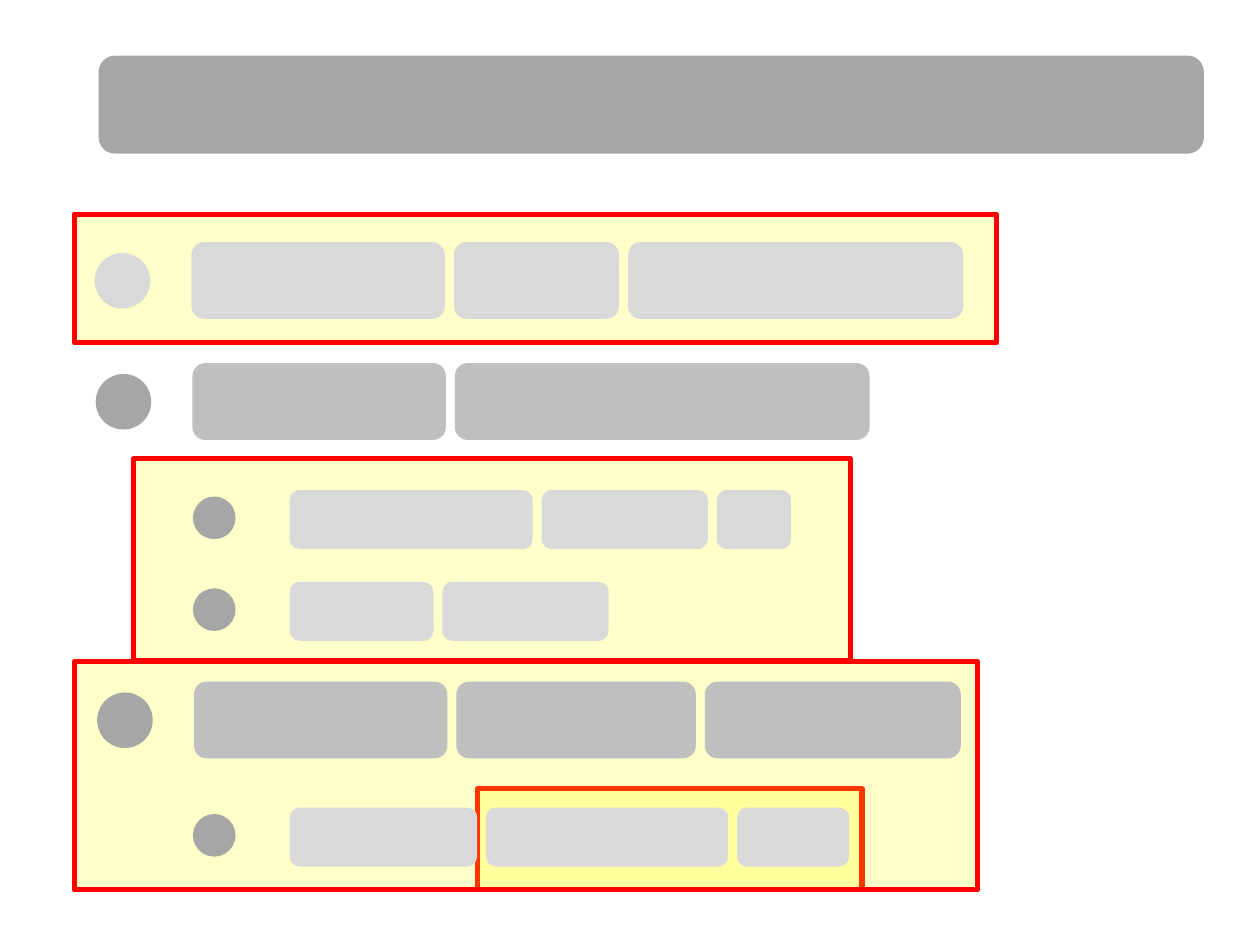
from dataclasses import dataclass

from lxml import etree
from pptx import Presentation
from pptx.dml.color import RGBColor
from pptx.enum import shapes
from pptx.oxml import ns
from pptx.util import Cm, Pt

SHAPE = shapes.MSO_SHAPE


@dataclass(frozen=True)
class Theme:
    title: str = "A6A6A6"
    dark: str = "A6A6A6"
    medium: str = "BFBFBF"
    light: str = "D9D9D9"
    highlight: str = "FFFF00"
    outline: str = "FF0000"
    highlight_opacity: int = 21
    outline_width: int = 3


@dataclass(frozen=True)
class Level:
    """Heights and bullet geometry of one outline level, in cm."""
    height: float
    bullet: float
    bullet_drop: float


THEME = Theme()
MAIN = Level(height=1.55, bullet=1.12, bullet_drop=0.22)
SUB = Level(height=1.19, bullet=0.86, bullet_drop=0.13)
INDENT = 1.95
WORD_GAP = 0.18

HIGHLIGHTS = [
    (1.5, 4.32, 18.59, 2.59),
    (2.69, 9.25, 14.45, 4.06),
    (9.63, 15.9, 7.75, 2.03),
    (1.5, 13.34, 18.21, 4.6),
]

# level, left, top, bullet colour, word colour, word widths
OUTLINE = [
    (MAIN, 1.91, 4.88, THEME.light, THEME.light, (5.11, 3.33, 6.76)),
    (MAIN, 1.93, 7.32, THEME.dark, THEME.medium, (5.11, 8.36)),
    (MAIN, 1.96, 13.74, THEME.dark, THEME.medium, (5.11, 4.83, 5.16)),
    (SUB, 3.89, 9.88, THEME.dark, THEME.light, (4.9, 3.35, 1.5)),
    (SUB, 3.89, 11.73, THEME.dark, THEME.light, (2.9, 3.35)),
    (SUB, 3.89, 16.28, THEME.dark, THEME.light, (3.78, 4.88, 2.26)),
]


def add_block(parent, kind, left, top, width, height, colour):
    block = parent.add_shape(kind, Cm(left), Cm(top), Cm(width), Cm(height))
    block.shadow.inherit = False
    block.fill.solid()
    block.fill.fore_color.rgb = RGBColor.from_string(colour)
    block.line.fill.background()
    return block


def add_highlight(parent, left, top, width, height):
    """Add a translucent rectangle with a strong outline."""
    frame = add_block(parent, SHAPE.RECTANGLE, left, top, width, height,
                      THEME.highlight)
    colour = frame.fill._xPr.find(".//" + ns.qn("a:srgbClr"))
    alpha = etree.SubElement(colour, ns.qn("a:alpha"))
    alpha.set("val", str(THEME.highlight_opacity * 1000))
    frame.line.color.rgb = RGBColor.from_string(THEME.outline)
    frame.line.width = Pt(THEME.outline_width)


def add_outline_row(parent, level, left, top, bullet_colour, word_colour, widths):
    """Add a group of word bars led by a round bullet."""
    row = parent.add_group_shape().shapes
    word_left = left + INDENT
    for width in widths:
        add_block(row, SHAPE.ROUNDED_RECTANGLE, word_left, top, width,
                  level.height, word_colour)
        word_left += width + WORD_GAP
    add_block(row, SHAPE.FLOWCHART_CONNECTOR, left, top + level.bullet_drop,
              level.bullet, level.bullet, bullet_colour)


def main():
    deck = Presentation()
    deck.slide_width, deck.slide_height = Cm(25.4), Cm(19.05)
    blank_layout = deck.slide_layouts[6]
    canvas = deck.slides.add_slide(blank_layout).shapes

    for highlight in HIGHLIGHTS:
        add_highlight(canvas, *highlight)
    add_block(canvas, SHAPE.ROUNDED_RECTANGLE, 1.99, 1.12, 22.28, 1.98,
              THEME.title)
    for row in OUTLINE:
        add_outline_row(canvas, *row)

    deck.save("out.pptx")


if __name__ == "__main__":
    main()
